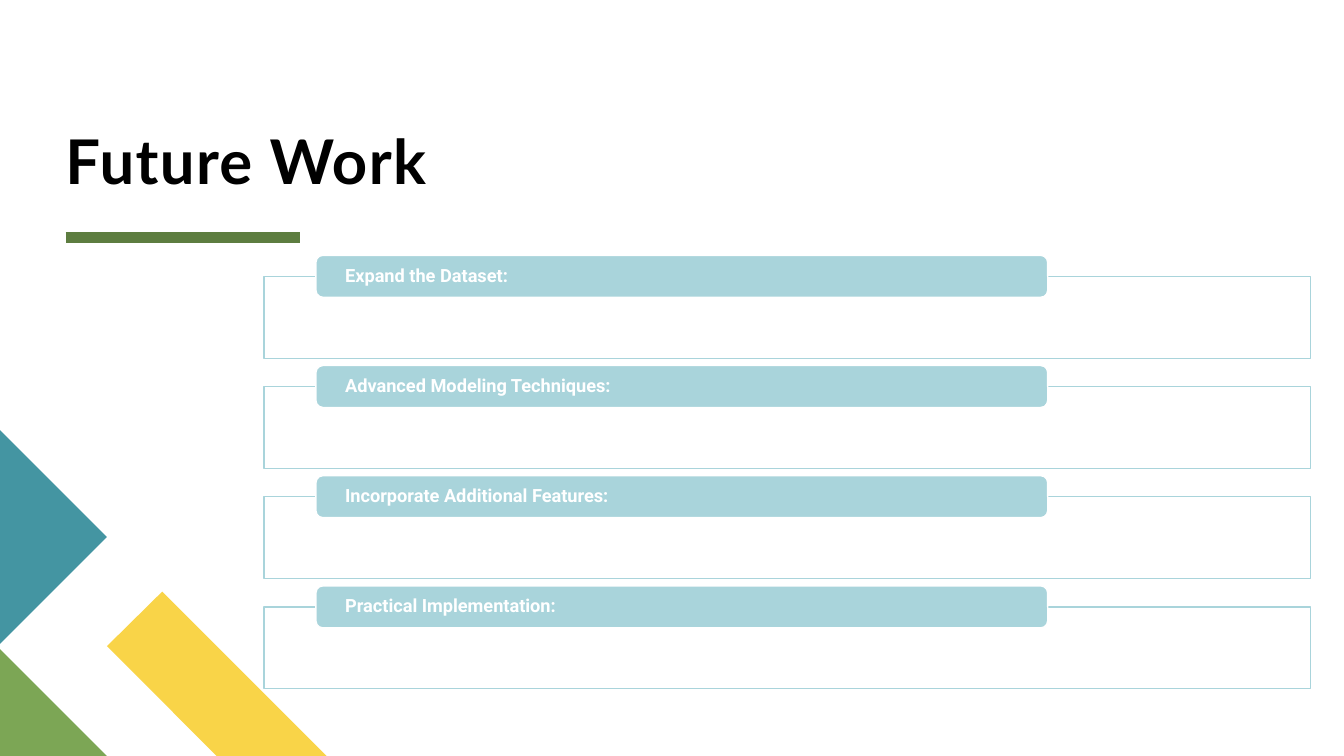
"""Build the Future Work slide with four labelled frames."""
from dataclasses import dataclass

from lxml import etree
from pptx import Presentation
from pptx.dml.color import RGBColor
from pptx.enum.shapes import MSO_CONNECTOR, MSO_SHAPE
from pptx.enum.text import MSO_ANCHOR, PP_ALIGN
from pptx.oxml.ns import qn
from pptx.util import Pt

STRAIGHT = MSO_CONNECTOR.STRAIGHT
RECTANGLE = MSO_SHAPE.RECTANGLE
ROUNDED = MSO_SHAPE.ROUNDED_RECTANGLE
MIDDLE, BOTTOM = MSO_ANCHOR.MIDDLE, MSO_ANCHOR.BOTTOM
LEFT = PP_ALIGN.LEFT

COLOURS = {
    "white": "FFFFFF",
    "black": "000000",
    "pale": "A9D4DB",
    "teal": "4495A2",
    "yellow": "F9D448",
    "green": "7CA655",
    "rule": "5D7D40",
}
TOPICS = (
    "Expand the Dataset:",
    "Advanced Modeling Techniques:",
    "Incorporate Additional Features:",
    "Practical Implementation:",
)
TOPIC_PITCH = 78.7


@dataclass(frozen=True)
class Box:
    left: float
    top: float
    width: float
    height: float

    def lowered(self, distance: float) -> "Box":
        return Box(self.left, self.top + distance, self.width, self.height)

    def lengths(self) -> tuple:
        return Pt(self.left), Pt(self.top), Pt(self.width), Pt(self.height)


@dataclass(frozen=True)
class Ornament:
    colour: str
    corners: tuple


TITLE = Box(46.8, 7.9, 748.8, 132.5)
FRAME = Box(188.6, 197.4, 747.4, 58.5)
TAB = Box(225.7, 182.4, 522.7, 30)
ORNAMENTS = (
    Ornament("yellow", ((233.3, 540), (154.8, 540), (76.4, 461.6), (115.9, 422.6))),
    Ornament("green", ((76.4, 540), (0, 540), (0, 463.6))),
    Ornament("teal", ((0, 307.2), (76.4, 383.6), (0, 460))),
)


def rgb(name: str) -> RGBColor:
    return RGBColor.from_string(COLOURS[name])


def draw_ornament(slide, ornament: Ornament) -> None:
    start, *others = [(Pt(x), Pt(y)) for x, y in ornament.corners]
    builder = slide.shapes.build_freeform(*start)
    builder.add_line_segments(others, close=True)
    outline = builder.convert_to_shape()
    outline.shadow.inherit = False
    outline.fill.solid()
    outline.fill.fore_color.rgb = rgb(ornament.colour)
    outline.line.fill.background()


def draw_panel(slide, kind, box: Box, fill: str, border: str):
    panel = slide.shapes.add_shape(kind, *box.lengths())
    panel.shadow.inherit = False
    panel.fill.solid()
    panel.fill.fore_color.rgb = rgb(fill)
    panel.line.color.rgb = rgb(border)
    panel.line.width = Pt(1)
    return panel


def write(holder, words: str, font: str, size: float, colour: str,
          anchor, inset: float, spacing: float):
    frame = holder.text_frame
    frame.word_wrap = True
    frame.vertical_anchor = anchor
    frame.margin_left = frame.margin_right = Pt(inset)
    frame.margin_top = frame.margin_bottom = Pt(0)
    paragraph = frame.paragraphs[0]
    paragraph.text = words
    paragraph.alignment = LEFT
    paragraph.line_spacing = spacing
    paragraph.font.name = font
    paragraph.font.size = Pt(size)
    paragraph.font.bold = True
    paragraph.font.color.rgb = rgb(colour)
    return paragraph


def draw_title(slide) -> None:
    rule = slide.shapes.add_connector(STRAIGHT, Pt(46.8), Pt(169.5), Pt(214.6), Pt(169.5))
    rule.line.color.rgb = rgb("rule")
    rule.line.width = Pt(8)
    etree.SubElement(rule._element.spPr, qn("a:effectLst"))
    heading = slide.shapes.add_textbox(*TITLE.lengths())
    paragraph = write(heading, "Future Work", "Lato", 44, "black", BOTTOM, 0, 0.8)
    paragraph.runs[0]._r.get_or_add_rPr().set("spc", "100")


def draw_topic(slide, topic: str, distance: float) -> None:
    frame = draw_panel(slide, RECTANGLE, FRAME.lowered(distance), "white", "pale")
    tint = frame._element.spPr.find(qn("a:solidFill"))[0]
    etree.SubElement(tint, qn("a:alpha"), val="90000")
    tab = draw_panel(slide, ROUNDED, TAB.lowered(distance), "pale", "white")
    write(tab, topic, "Roboto", 13, "white", MIDDLE, 19.4, 0.9)


def main() -> None:
    deck = Presentation()
    deck.slide_width, deck.slide_height = Pt(960), Pt(540)
    slide = deck.slides.add_slide(deck.slide_layouts[6])
    for ornament in ORNAMENTS:
        draw_ornament(slide, ornament)
    draw_title(slide)
    for index, topic in enumerate(TOPICS):
        draw_topic(slide, topic, index * TOPIC_PITCH)
    deck.save("out.pptx")


if __name__ == "__main__":
    main()
